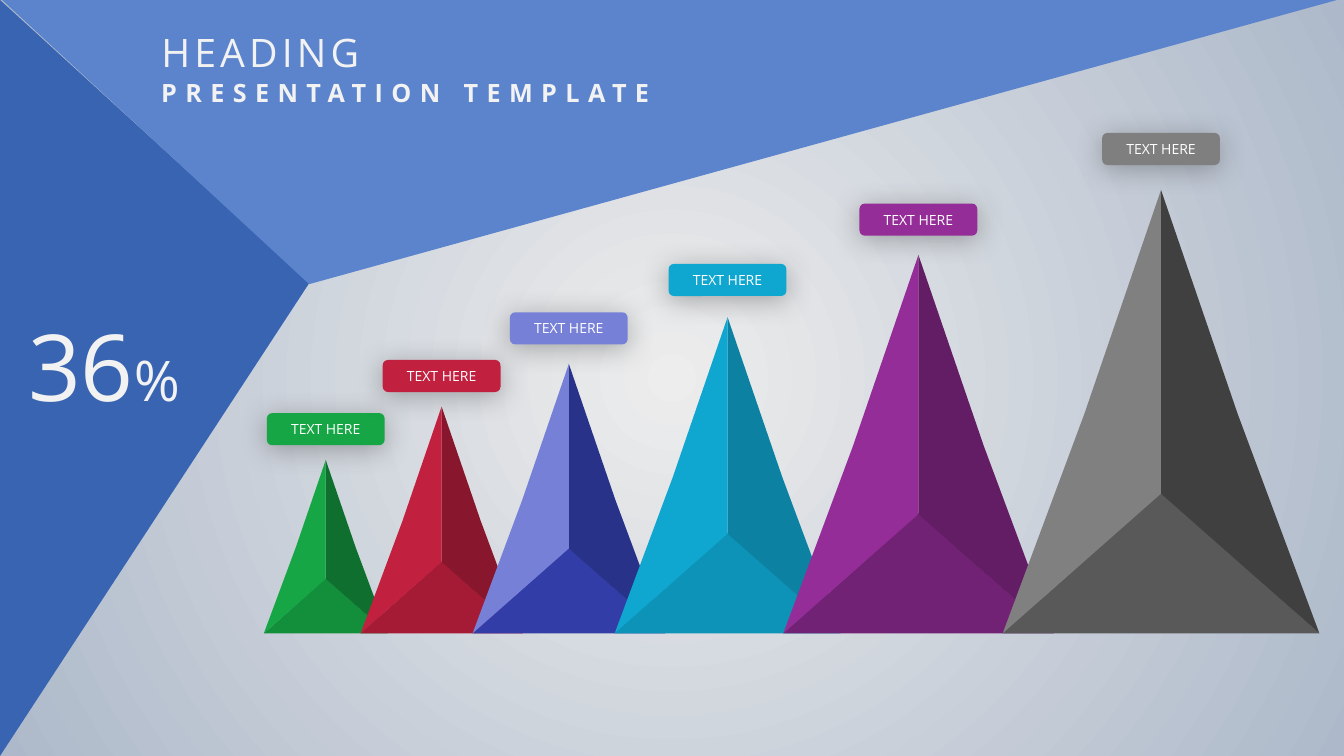
from typing import NamedTuple

from lxml import etree
from pptx import Presentation
from pptx.dml.color import RGBColor
from pptx.enum.shapes import MSO_SHAPE as Preset
from pptx.enum.text import MSO_ANCHOR as Anchor, MSO_AUTO_SIZE as AutoSize, PP_ALIGN as Align
from pptx.oxml import parse_xml
from pptx.oxml.ns import nsdecls, qn
from pptx.util import Cm, Pt

FONT = "Open Sans"
WHITE = RGBColor(0xFF, 0xFF, 0xFF)
PALE = RGBColor(0xF2, 0xF2, 0xF2)
BACK_CENTRE = RGBColor(0xED, 0xED, 0xED)
BACK_EDGE = RGBColor(0xAD, 0xB9, 0xCA)
DEEP_BLUE = RGBColor(0x38, 0x64, 0xB2)
SKY_BLUE = RGBColor(0x5C, 0x84, 0xCC)
TAG_GREY = RGBColor(0x7F, 0x7F, 0x7F)

# Light, dark and base colours of each pyramid
GREEN = RGBColor(0x16, 0xA6, 0x46), RGBColor(0x0F, 0x6F, 0x2F), RGBColor(0x13, 0x8F, 0x3C)
RED = RGBColor(0xC2, 0x20, 0x3F), RGBColor(0x88, 0x16, 0x2C), RGBColor(0xA5, 0x1B, 0x35)
INDIGO = RGBColor(0x77, 0x80, 0xD7), RGBColor(0x28, 0x32, 0x89), RGBColor(0x32, 0x3D, 0xA8)
CYAN = RGBColor(0x0F, 0xA6, 0xCF), RGBColor(0x0C, 0x81, 0xA2), RGBColor(0x0D, 0x93, 0xB7)
PURPLE = RGBColor(0x94, 0x2D, 0x97), RGBColor(0x63, 0x1D, 0x65), RGBColor(0x72, 0x22, 0x74)
GREY = RGBColor(0x80, 0x80, 0x80), RGBColor(0x40, 0x40, 0x40), RGBColor(0x59, 0x59, 0x59)

SLIDE_WIDTH, SLIDE_HEIGHT = 33.87, 19.05
GROUND = 15.96
PYRAMID_RATIO = 1.4  # height to width
TAG_WIDTH, TAG_HEIGHT = 2.97, 0.81

# Left, width, top of the tag, facet colours, tag colour
PYRAMIDS = [
    (6.65, 3.12, 10.41, GREEN, GREEN[0]),
    (9.09, 4.08, 9.07, RED, RED[0]),
    (11.91, 4.85, 7.87, INDIGO, INDIGO[0]),
    (15.49, 5.69, 6.65, CYAN, CYAN[0]),
    (19.74, 6.81, 5.13, PURPLE, PURPLE[0]),
    (25.27, 7.98, 3.35, GREY, TAG_GREY),
]


class Box(NamedTuple):
    """A rectangle in centimetres."""
    left: float
    top: float
    width: float
    height: float

    def lengths(self):
        return [Cm(value) for value in self]


def paint(shape, color):
    shape.shadow.inherit = False
    shape.fill.solid()
    shape.fill.fore_color.rgb = color
    shape.line.fill.background()


def set_font(font, size, color, bold=False):
    font.name, font.size, font.bold = FONT, Pt(size), bold
    font.color.rgb = color


def add_background(slide):
    fill = slide.background.fill
    fill.gradient()
    for stop, color in zip(fill.gradient_stops, (BACK_CENTRE, BACK_EDGE)):
        stop.color.rgb = color
    gradient = slide.element.xpath(".//p:bgPr/a:gradFill")[0]
    gradient.remove(gradient.find(qn("a:lin")))
    gradient.append(parse_xml(
        f'<a:path {nsdecls("a")} path="circle">'
        '<a:fillToRect l="50000" t="50000" r="50000" b="50000"/></a:path>'))


def add_pyramid(slide, box, colors):
    light, dark, base_color = colors
    group = slide.shapes.add_group_shape()
    centre = box.left + box.width / 2
    bottom = box.top + box.height

    # Base
    base_height = 0.445 * box.width
    base_box = Box(box.left, bottom - base_height, box.width, base_height)
    paint(group.shapes.add_shape(Preset.ISOSCELES_TRIANGLE, *base_box.lengths()), base_color)

    # Right and left faces: shoulder, foot and inner corner below the apex
    for side, color in ((1, dark), (-1, light)):
        corners = [(0.242, 0.505), (0.5, 1), (0, 0.685)]
        points = [(Cm(centre + side * across * box.width), Cm(box.top + down * box.height))
                  for across, down in corners]
        outline = group.shapes.build_freeform(Cm(centre), Cm(box.top))
        outline.add_line_segments(points)
        paint(outline.convert_to_shape(), color)


def add_tag(slide, box, color):
    tag = slide.shapes.add_shape(Preset.ROUNDED_RECTANGLE, *box.lengths())
    paint(tag, color)
    effects = tag.element.spPr.find(qn("a:effectLst"))
    shadow = etree.SubElement(effects, qn("a:outerShdw"), blurRad=str(Pt(20)),
                              dist=str(Pt(3)), dir="5400000", algn="t", rotWithShape="0")
    shade = etree.SubElement(shadow, qn("a:srgbClr"), val="404040")
    etree.SubElement(shade, qn("a:alpha"), val="40000")
    frame = tag.text_frame
    frame.vertical_anchor = Anchor.MIDDLE
    frame.text = "TEXT HERE"
    para = frame.paragraphs[0]
    para.alignment = Align.CENTER
    set_font(para.font, 10, WHITE)


def add_panel(slide, box, peak, rotation, color):
    """Places a triangle, turned so that it fills the given box."""
    width, height = (box.height, box.width) if rotation == 90 else (box.width, box.height)
    unturned = Box(box.left + (box.width - width) / 2,
                   box.top + (box.height - height) / 2, width, height)
    panel = slide.shapes.add_shape(Preset.ISOSCELES_TRIANGLE, *unturned.lengths())
    panel.adjustments[0] = peak
    panel.rotation = rotation
    paint(panel, color)


def fill_text(shape, box, spans, color, bold=False, spacing=0):
    """Writes (text, size) spans on one line of the shape."""
    shape.left, shape.top, shape.width, shape.height = box.lengths()
    frame = shape.text_frame
    frame.word_wrap = True
    frame.auto_size = AutoSize.SHAPE_TO_FIT_TEXT
    frame.vertical_anchor = Anchor.TOP
    para = frame.paragraphs[0]
    para.alignment = Align.LEFT
    set_font(para.font, spans[0][1], color, bold)
    for text, size in spans:
        span = para.add_run()
        span.text = text
        span.font.size = Pt(size)
        if spacing:
            span.font._element.set("spc", str(spacing * 100))


def add_header(slide, box):
    # The title comes forward, in front of the panels
    title = slide.shapes.title
    title.element.getparent().append(title.element)
    fill_text(title, box._replace(height=1.45), [("HEADING", 28)], PALE, spacing=3)
    subtitle_box = box._replace(top=box.top + 1.25, height=1.02)
    subtitle = slide.shapes.add_textbox(*subtitle_box.lengths())
    fill_text(subtitle, subtitle_box, [("PRESENTATION TEMPLATE", 18)], PALE, True, 6)


def add_percentage(slide, box):
    figure = slide.shapes.add_textbox(*box.lengths())
    fill_text(figure, box, [("36", 66), ("%", 40)], PALE)


def build_pyramid_slide(deck):
    slide = deck.slides.add_slide(deck.slide_layouts[5])
    add_background(slide)
    for left, width, tag_top, colors, tag_color in PYRAMIDS:
        height = PYRAMID_RATIO * width
        add_pyramid(slide, Box(left, GROUND - height, width, height), colors)
        tag_left = left + (width - TAG_WIDTH) / 2
        add_tag(slide, Box(tag_left, tag_top, TAG_WIDTH, TAG_HEIGHT), tag_color)
    add_panel(slide, Box(0, 0, 7.8, SLIDE_HEIGHT), 0.374, 90, DEEP_BLUE)
    add_panel(slide, Box(0, -0.05, SLIDE_WIDTH, 7.21), 0.77, 180, SKY_BLUE)
    add_header(slide, Box(3.81, 0.58, 14.4, 2.27))
    add_percentage(slide, Box(0.46, 7.67, 5.18, 3.07))


def main():
    deck = Presentation()
    deck.slide_width, deck.slide_height = Cm(SLIDE_WIDTH), Cm(SLIDE_HEIGHT)
    build_pyramid_slide(deck)
    deck.save("out.pptx")


if __name__ == "__main__":
    main()
